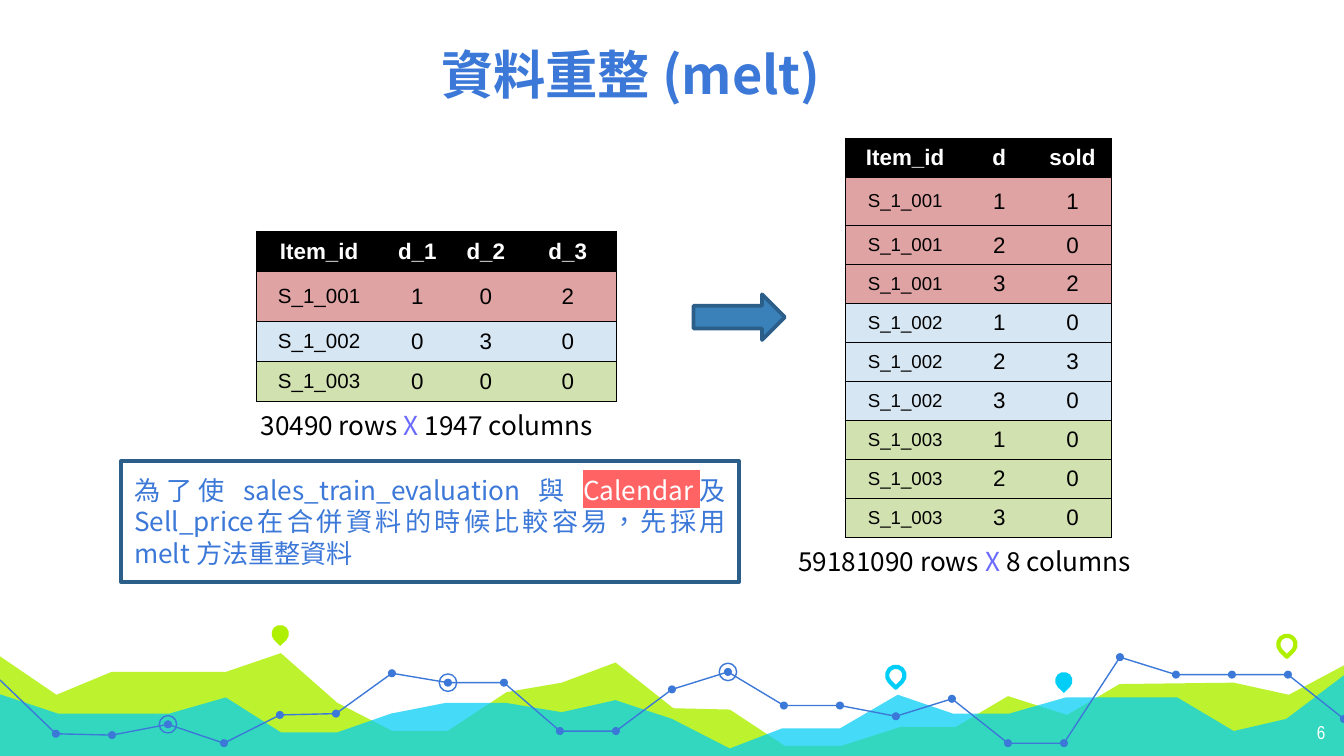
"""Build the slide that explains reshaping sales data with melt."""
from lxml import etree
from pptx import Presentation
from pptx.dml.color import RGBColor
from pptx.enum.shapes import MSO_SHAPE
from pptx.enum.text import MSO_ANCHOR, PP_ALIGN
from pptx.oxml.ns import qn
from pptx.util import Inches, Pt

LEFT, CENTER, RIGHT, JUSTIFY = PP_ALIGN.LEFT, PP_ALIGN.CENTER, PP_ALIGN.RIGHT, PP_ALIGN.JUSTIFY
TOP, MIDDLE, BOTTOM = MSO_ANCHOR.TOP, MSO_ANCHOR.MIDDLE, MSO_ANCHOR.BOTTOM
OVAL, TEARDROP = MSO_SHAPE.OVAL, MSO_SHAPE.TEAR
ARROW, RECTANGLE = MSO_SHAPE.RIGHT_ARROW, MSO_SHAPE.RECTANGLE

SLIDE_SIZE = (10, 10 * 9 / 16)
BODY, TABLE_FONT, NUMBER_FONT = "Noto Sans CJK SC", "Arial", "Arial Narrow"
BLUE, LIME, CYAN, VIOLET = "3C78D8", "AFF000", "00CEF6", "6A6AFF"
BLACK, WHITE, CORAL, FRAME = "000000", "FFFFFF", "FF6363", "2B5F8A"

AREAS = [
    (LIME, 82, [(-0.02, 4.87), (0.42, 5.17), (0.83, 5), (1.68, 5), (2.09, 4.86), (2.51, 5.23),
                (2.92, 5.44), (3.33, 5.44), (3.77, 5.15), (4.18, 5.08), (4.58, 4.93),
                (5.01, 5.27), (5.43, 5.28), (5.84, 5.55), (6.26, 5.55), (6.7, 5.41),
                (7.11, 5.41), (7.5, 5.18), (7.94, 5.32), (8.33, 5.09), (9.18, 5.08),
                (9.59, 5.17), (10.02, 4.94), (10.01, 5.64), (-0.03, 5.64)]),
    (CYAN, 73, [(-0.02, 5.16), (0.43, 5.31), (1.26, 5.31), (1.68, 5.19), (2.09, 5.45),
                (2.51, 5.45), (2.91, 5.31), (3.32, 5.23), (3.76, 5.23), (4.18, 5.3),
                (4.58, 5.21), (5, 5.35), (5.43, 5.57), (5.82, 5.42), (6.25, 5.42),
                (6.68, 5.17), (7.09, 5.31), (7.51, 5.31), (7.93, 5.19), (8.76, 5.19),
                (9.18, 5.44), (9.57, 5.35), (10.02, 5.01), (10.02, 5.65), (-0.03, 5.65)]),
]
TREND = [5.06, 5.46, 5.47, 5.39, 5.53, 5.32, 5.31, 5.01, 5.08, 5.08, 5.44, 5.44, 5.13,
         5, 5.25, 5.25, 5.33, 5.2, 5.53, 5.53, 4.89, 5.02, 5.02, 5.02, 5.35]
RINGED = (3, 8, 13)
PINS = [(2.02, 4.65, LIME, True), (6.6, 4.96, CYAN, False),
        (7.85, 5, CYAN, True), (9.51, 4.73, LIME, False)]

WIDE_HEADER = ["Item_id", "d_1", "d_2", "d_3"]
LONG_HEADER = ["Item_id", "d", "sold"]
SALES = [("S_1_001", [1, 0, 2], "E0A3A3"), ("S_1_002", [0, 3, 0], "D6E6F2"),
         ("S_1_003", [0, 0, 0], "D2E1B0")]
CAPTIONS = [((1.84, 3, 2.8, 0.34), "30490 rows ", " 1947 columns"),
            ((5.84, 4.01, 2.88, 0.34), "59181090 rows ", " 8 columns")]
NOTE = [("為了使 sales_train_evaluation 與 ", BLUE), ("Calendar", WHITE, CORAL),
        ("及 Sell_price在合併資料的時候比較容易，先採用melt 方法重整資料", BLUE)]


def color(value):
    return RGBColor.from_string(value)


def inches(values):
    return [Inches(value) for value in values]


def solid(parent, value):
    fill = etree.SubElement(parent, qn("a:solidFill"))
    etree.SubElement(fill, qn("a:srgbClr"), val=value)


def style(shape, fill=None, line=None, width=0.75):
    shape.shadow.inherit = False
    if fill:
        shape.fill.solid()
        shape.fill.fore_color.rgb = color(fill)
    else:
        shape.fill.background()
    if line:
        shape.line.color.rgb = color(line)
        shape.line.width = Pt(width)
    else:
        shape.line.fill.background()


def add_shape(slide, kind, box, **look):
    shape = slide.shapes.add_shape(kind, *inches(box))
    style(shape, **look)
    return shape


def add_outline(slide, points, close, **look):
    corners = [inches(point) for point in points]
    builder = slide.shapes.build_freeform(*corners[0])
    builder.add_line_segments(corners[1:], close=close)
    shape = builder.convert_to_shape()
    style(shape, **look)
    return shape


def write(frame, runs, size, font=BODY, align=LEFT, anchor=TOP, margins=(0.1, 0.05), bold=False):
    frame.word_wrap = True
    frame.vertical_anchor = anchor
    frame.margin_left = frame.margin_right = Inches(margins[0])
    frame.margin_top = frame.margin_bottom = Inches(margins[1])
    paragraph = frame.paragraphs[0]
    paragraph.alignment = align
    for text, value, *highlight in runs:
        run = paragraph.add_run()
        run.text = text
        run.font.size, run.font.bold = Pt(size), bold
        run.font.color.rgb = color(value)
        properties = run.font._element
        properties.set("lang", "zh-TW")
        for marker in highlight:
            mark = etree.SubElement(properties, qn("a:highlight"))
            etree.SubElement(mark, qn("a:srgbClr"), val=marker)
        run.font.name = font
        etree.SubElement(properties, qn("a:ea"), typeface=font)


def add_borders(cell, first, last):
    sides = [("a:lnL", first), ("a:lnR", last), ("a:lnT", True), ("a:lnB", True)]
    for tag, visible in sides:
        border = etree.SubElement(cell._tc.get_or_add_tcPr(), qn(tag), w=str(Pt(0.75)))
        if visible:
            solid(border, BLACK)
        else:
            etree.SubElement(border, qn("a:noFill"))


def add_data_table(slide, position, widths, heights, rows, id_size, margin):
    box = (*position, sum(widths), sum(heights))
    table = slide.shapes.add_table(len(rows), len(widths), *inches(box)).table
    for column, width in zip(table.columns, widths):
        column.width = Inches(width)
    for r, (values, fill) in enumerate(rows):
        table.rows[r].height = Inches(heights[r])
        for c, value in enumerate(values):
            cell = table.cell(r, c)
            add_borders(cell, c == 0, c == len(widths) - 1)
            cell.fill.solid()
            cell.fill.fore_color.rgb = color(fill)
            cell.vertical_anchor = MIDDLE
            cell.margin_left = cell.margin_right = Inches(margin)
            cell.margin_top = cell.margin_bottom = Inches(0.04)
            write(cell.text_frame, [(str(value), BLACK if r else WHITE)],
                  id_size if r and c == 0 else 12, TABLE_FONT, CENTER, MIDDLE,
                  (margin, 0.04), bold=r == 0)


def add_scenery(slide):
    for fill, opacity, points in AREAS:
        area = add_outline(slide, points, True, fill=fill)
        tint = area._element.spPr.find(qn("a:solidFill"))[0]
        etree.SubElement(tint, qn("a:alpha"), val=str(opacity * 1000))
    for left, top, tone, filled in PINS:
        look = {"fill": tone} if filled else {"line": tone, "width": 2.25}
        add_shape(slide, TEARDROP, (left, top, 0.13, 0.13), **look).rotation = 135
    step = SLIDE_SIZE[0] / (len(TREND) - 1)
    points = [(i * step, y) for i, y in enumerate(TREND)]
    add_outline(slide, points, False, line=BLUE)
    for i, (x, y) in enumerate(points[1:], 1):
        add_shape(slide, OVAL, (x - 0.03, y - 0.03, 0.06, 0.06), fill=BLUE)
        if i in RINGED:
            add_shape(slide, OVAL, (x - 0.065, y - 0.065, 0.13, 0.13), line=BLUE)


def add_text(slide, box, runs, size, **options):
    write(slide.shapes.add_textbox(*inches(box)).text_frame, runs, size, **options)


def main():
    presentation = Presentation()
    presentation.slide_width, presentation.slide_height = inches(SLIDE_SIZE)
    slide = presentation.slides.add_slide(presentation.slide_layouts[5])
    add_scenery(slide)

    title = slide.shapes.title
    title.left, title.top, title.width, title.height = inches((-0.17, 0.18, 9.73, 0.7))
    write(title.text_frame, [("資料重整 (melt)", BLUE)], 28, align=CENTER, anchor=BOTTOM,
          margins=(0.1, 0.1), bold=True)
    add_text(slide, (9.36, 5.28, 0.6, 0.35), [("6", WHITE)], 10, font=NUMBER_FONT,
             align=RIGHT, margins=(0.1, 0.1))

    wide = [([item, *sold], fill) for item, sold, fill in SALES]
    melted = [([item, day, count], fill) for item, sold, fill in SALES
              for day, count in enumerate(sold, 1)]
    add_data_table(slide, (1.91, 1.72), [0.93, 0.53, 0.49, 0.73], [0.3, 0.37, 0.3, 0.3],
                   [(WIDE_HEADER, BLACK)] + wide, 11, 0.09)
    add_data_table(slide, (6.29, 1.03), [0.89, 0.51, 0.58], [0.29, 0.36] + [0.29] * 8,
                   [(LONG_HEADER, BLACK)] + melted, 10, 0.08)
    add_shape(slide, ARROW, (5.16, 2.19, 0.68, 0.34), fill="3A81BA", line=FRAME, width=2)
    for box, rows, columns in CAPTIONS:
        add_text(slide, box, [(rows, BLACK), ("X", VIOLET), (columns, BLACK)], 14)
    note = add_shape(slide, RECTANGLE, (0.9, 3.43, 4.6, 0.9), line=FRAME, width=2)
    write(note.text_frame, NOTE, 14, align=JUSTIFY, anchor=MIDDLE)
    presentation.save("out.pptx")


if __name__ == "__main__":
    main()
